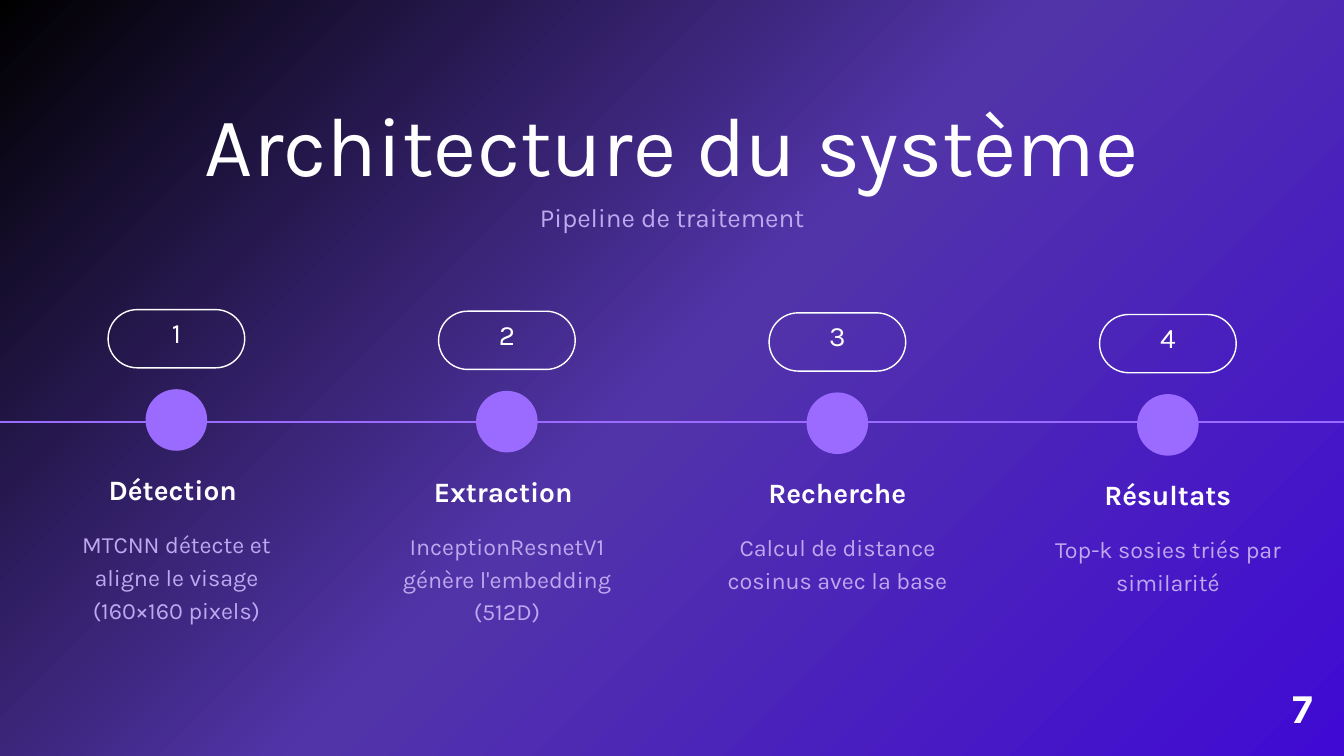
from lxml import etree
from pptx import Presentation
from pptx.dml.color import RGBColor
from pptx.enum.shapes import MSO_CONNECTOR as Connector, MSO_SHAPE as Shape
from pptx.enum.text import MSO_ANCHOR as Anchor, MSO_AUTO_SIZE as AutoSize, PP_ALIGN as Align
from pptx.oxml import parse_xml
from pptx.oxml.ns import nsdecls, qn
from pptx.util import Pt

COLORS = {
    "white": "FFFFFF",
    "lilac": "BFA8EF",
    "violet": "9B6AFF",
    "black": "000000",
    "indigo": "5234A9",
    "blue": "400AD4",
}
FONT = "Karla"

# Step name and description; a trailing space shifts a centred name slightly
STEPS = [
    ("Détection ", "MTCNN détecte et aligne le visage (160×160 pixels)"),
    ("Extraction ", "InceptionResnetV1 génère l'embedding (512D)"),
    ("Recherche", "Calcul de distance cosinus avec la base"),
    ("Résultats", "Top-k sosies triés par similarité"),
]
FIRST_CENTER, STEP_GAP, STEP_DROP = 189, 354.1, 1.75


class SlideBuilder:
    def __init__(self, slide):
        self.slide = slide

    def color(self, name):
        return RGBColor.from_string(COLORS[name])

    def background(self, names):
        last = len(names) - 1
        stops = "".join(
            f'<a:gs pos="{100000 * i // last}"><a:srgbClr val="{COLORS[name]}"/></a:gs>'
            for i, name in enumerate(names))
        self.slide._element.cSld.insert(0, parse_xml(
            f'<p:bg {nsdecls("p", "a")}><p:bgPr><a:gradFill rotWithShape="1">'
            f'<a:gsLst>{stops}</a:gsLst><a:lin ang="2700000" scaled="0"/></a:gradFill>'
            '<a:effectLst/></p:bgPr></p:bg>'))

    def set_text(self, shape, text, size, leading, color="white", bold=False,
                 anchor=Anchor.TOP, spacing=None):
        frame = shape.text_frame
        frame.auto_size = AutoSize.NONE
        frame.word_wrap = True
        frame.vertical_anchor = anchor
        frame.margin_left = frame.margin_right = 0
        frame.margin_top = frame.margin_bottom = 0
        paragraph = frame.paragraphs[0]
        run = paragraph.add_run()
        run.text = text
        if spacing:
            run._r.get_or_add_rPr().set("spc", str(round(spacing * 100)))
        paragraph.alignment = Align.CENTER
        paragraph.line_spacing = Pt(leading)
        paragraph.space_before = Pt(0)
        font = paragraph.font
        font.name, font.size, font.bold = FONT, Pt(size), bold
        font.color.rgb = self.color(color)

    def title(self, text, left, top, width, height, size, leading):
        shape = self.slide.shapes.title
        shape.left, shape.top = Pt(left), Pt(top)
        shape.width, shape.height = Pt(width), Pt(height)
        self.set_text(shape, text, size, leading)

    def text(self, text, center, top, width, height, size, leading, **style):
        box = self.slide.shapes.add_textbox(
            Pt(center - width / 2), Pt(top), Pt(width), Pt(height))
        self.set_text(box, text, size, leading, **style)

    def shape(self, kind, center, top, width, height, fill=None, line=None):
        shape = self.slide.shapes.add_shape(
            kind, Pt(center - width / 2), Pt(top), Pt(width), Pt(height))
        shape.shadow.inherit = False
        if fill:
            shape.fill.solid()
            shape.fill.fore_color.rgb = self.color(fill)
        else:
            shape.fill.background()
        if line:
            shape.line.color.rgb = self.color(line)
            shape.line.width = Pt(1.5)
        else:
            shape.line.fill.background()
        return shape

    def line(self, left, right, y, color, width):
        line = self.slide.shapes.add_connector(
            Connector.STRAIGHT, Pt(left), Pt(y), Pt(right), Pt(y))
        line.line.color.rgb = self.color(color)
        line.line.width = Pt(width)
        etree.SubElement(line._element.spPr, qn("a:effectLst"))

    def step(self, number, name, description):
        center = FIRST_CENTER + (number - 1) * STEP_GAP
        drop = (number - 1) * STEP_DROP
        self.shape(Shape.OVAL, center, 417 + drop, 66, 66, fill="violet")
        pill = self.shape(Shape.ROUNDED_RECTANGLE, center, 331.7 + drop, 146.4, 62.4,
                          line="white")
        pill.adjustments[0] = 0.5
        self.text(str(number), center, 312 + drop, 146.4, 82, 30, 42, anchor=Anchor.MIDDLE)
        self.text(name, center, 511 + drop, 161.3, 33, 30, 31.5, bold=True)
        self.text(description, center, 563.3 + drop, 254.8, 102, 25, 35, color="lilac")


def main():
    presentation = Presentation()
    presentation.slide_width, presentation.slide_height = Pt(1440), Pt(810)
    slide = presentation.slides.add_slide(presentation.slide_layouts[5])
    builder = SlideBuilder(slide)
    builder.background(["black", "indigo", "blue"])

    # Heading
    builder.title("Architecture du système", 201, 113, 1038, 98, 90, 94.5)
    builder.text("Pipeline de traitement", 720, 210.4, 288, 38, 28, 39.2, color="lilac")

    # Timeline
    builder.line(-1.4, 1440, 452.2, "violet", 3)
    for number, (name, description) in enumerate(STEPS, 1):
        builder.step(number, name, description)

    # Page number
    builder.text("7", 1395.7, 722, 32.4, 60, 44, 61.6, bold=True, spacing=8.8)

    presentation.save("out.pptx")


if __name__ == "__main__":
    main()
